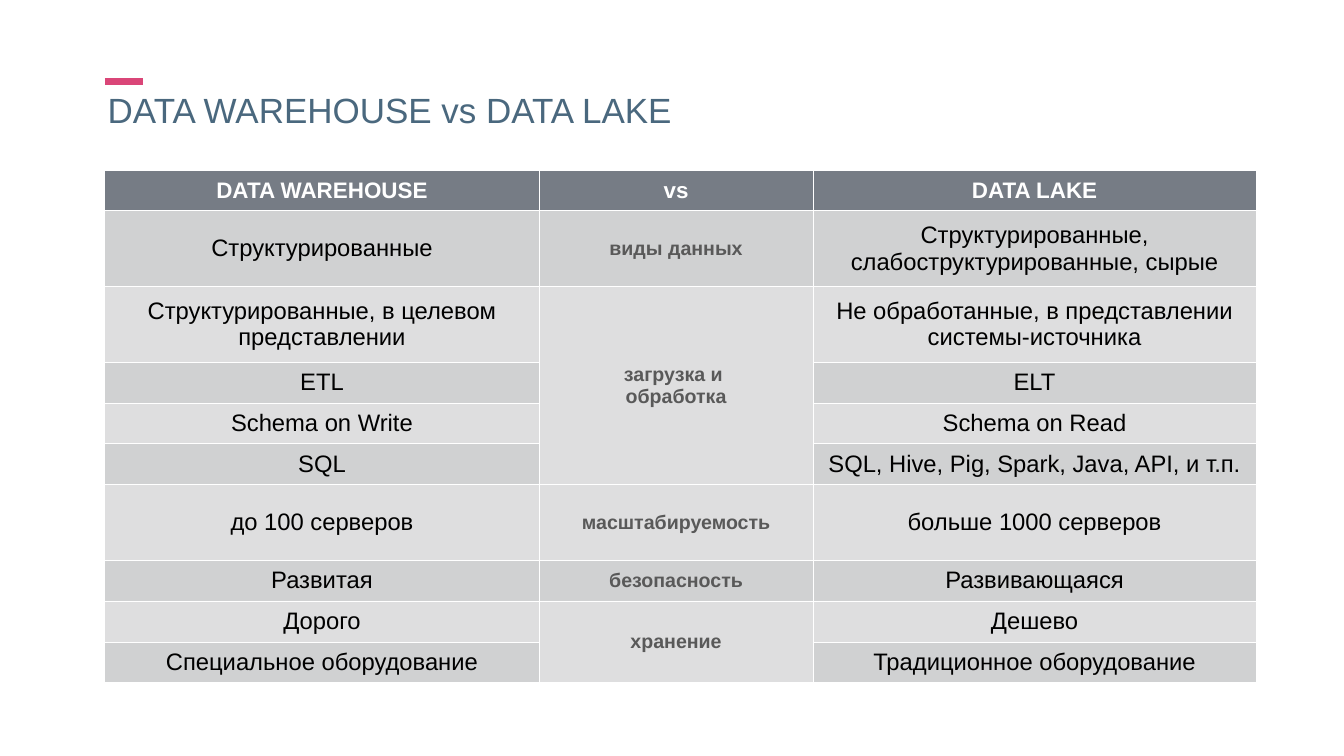
from lxml import etree
from pptx import Presentation
from pptx.dml import color
from pptx.enum import shapes, text
from pptx.oxml import ns
from pptx.util import Cm, Pt


def paint(code):
    return color.RGBColor.from_string(code)


def write(frame, words, size, ink, bold=False, align=text.PP_ALIGN.CENTER, space=None):
    frame.word_wrap = True
    for i, line in enumerate(words.split("\n")):
        para = frame.add_paragraph() if i else frame.paragraphs[0]
        para.alignment = align
        para.line_spacing = space
        run = para.add_run()
        run.text = line
        run.font.name = "Arial"
        run.font.size = Pt(size)
        run.font.bold = bold
        run.font.color.rgb = paint(ink)


deck = Presentation()
deck.slide_width = Cm(67.74)
deck.slide_height = Cm(38.1)
slide = deck.slides.add_slide(deck.slide_layouts[6])
left = 5.28

title = slide.shapes.add_textbox(Cm(left), Cm(4.7), Cm(56), Cm(2)).text_frame
title.margin_left = title.margin_right = Cm(0.15)
title.margin_top = title.margin_bottom = Cm(0.15)
title.vertical_anchor = text.MSO_ANCHOR.MIDDLE
write(title, "DATA WAREHOUSE vs DATA LAKE", 50, "4A687E",
      align=text.PP_ALIGN.LEFT, space=0.8)

dash = slide.shapes.add_connector(
    shapes.MSO_CONNECTOR.STRAIGHT, Cm(left), Cm(4.11), Cm(7.21), Cm(4.11))
dash.line.color.rgb = paint("DA4678")
dash.line.width = Pt(11)
etree.SubElement(dash.element.spPr, ns.qn("a:effectLst"))

rows = [
    ("DATA WAREHOUSE", "vs", "DATA LAKE"),
    ("Структурированные", "виды данных",
     "Структурированные, слабоструктурированные, сырые"),
    ("Структурированные, в целевом представлении", "загрузка и \nобработка",
     "Не обработанные, в представлении системы-источника"),
    ("ETL", "", "ELT"),
    ("Schema on Write", "", "Schema on Read"),
    ("SQL", "", "SQL, Hive, Pig, Spark, Java, API, и т.п."),
    ("до 100 серверов", "масштабируемость", "больше 1000 серверов"),
    ("Развитая", "безопасность", "Развивающаяся"),
    ("Дорого", "хранение", "Дешево"),
    ("Специальное оборудование", "", "Традиционное оборудование"),
]
wide = [21.9, 13.79, 22.35]
tall = [3.81 if r in (1, 2, 6) else 2.06 for r in range(len(rows))]

grid = slide.shapes.add_table(
    len(rows), len(wide), Cm(left), Cm(8.56), Cm(sum(wide)), Cm(sum(tall))).table
grid.horz_banding = False
for col, width in zip(grid.columns, wide):
    col.width = Cm(width)
for row, height in zip(grid.rows, tall):
    row.height = Cm(height)
for top, end in ((2, 5), (8, 9)):
    grid.cell(top, 1).merge(grid.cell(end, 1))

for r, row in enumerate(rows):
    for c, words in enumerate(row):
        cell = grid.cell(r, c)
        cell.vertical_anchor = text.MSO_ANCHOR.MIDDLE
        props = cell._tc.get_or_add_tcPr()
        for side in ("lnL", "lnR", "lnT", "lnB"):
            edge = etree.SubElement(props, ns.qn("a:" + side), w=str(Pt(1)))
            fill = etree.SubElement(edge, ns.qn("a:solidFill"))
            etree.SubElement(fill, ns.qn("a:srgbClr"), val="FFFFFF")
        cell.fill.solid()
        shade = "767C85" if r == 0 else "D0D1D2" if r % 2 else "DEDEDF"
        cell.fill.fore_color.rgb = paint(shade)
        if r == 0:
            write(cell.text_frame, words, 32, "FFFFFF", bold=True)
        elif c == 1 and words:
            write(cell.text_frame, words, 28, "595959", bold=True)
        elif words:
            write(cell.text_frame, words, 34, "000000")

deck.save("out.pptx")
